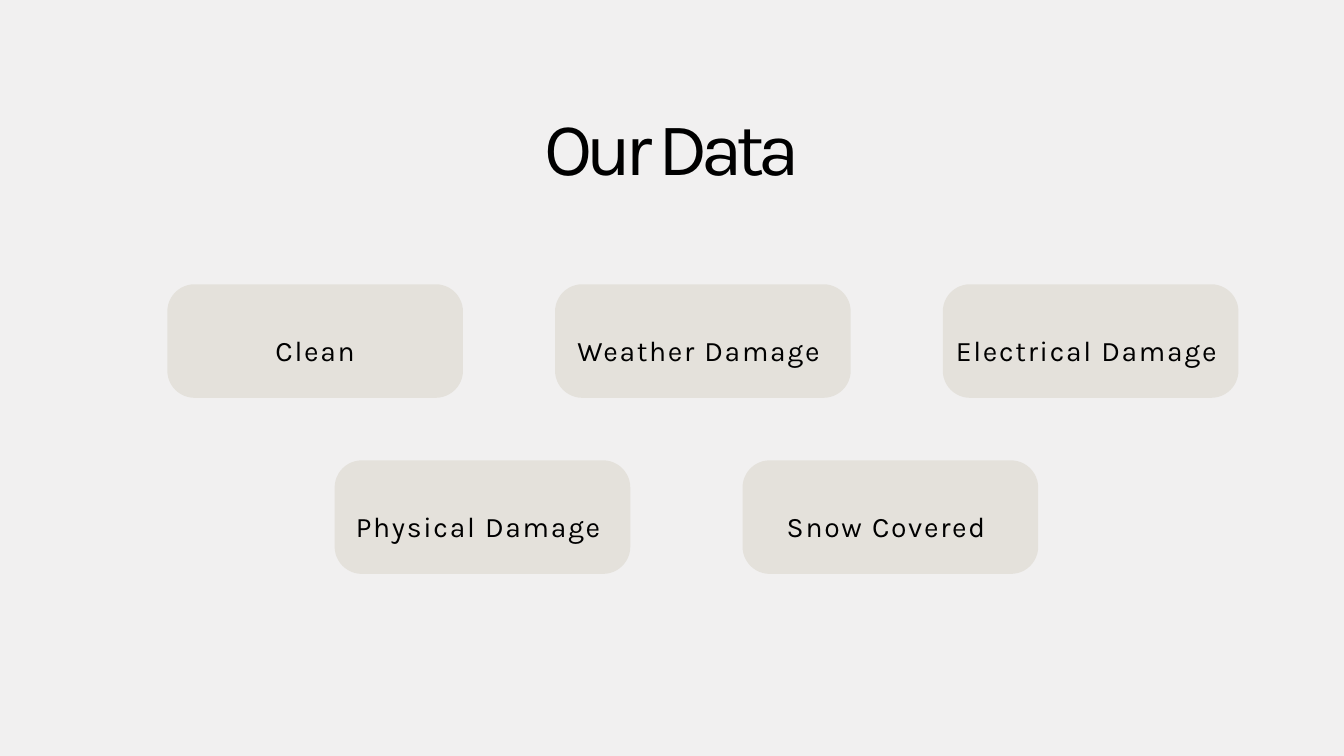
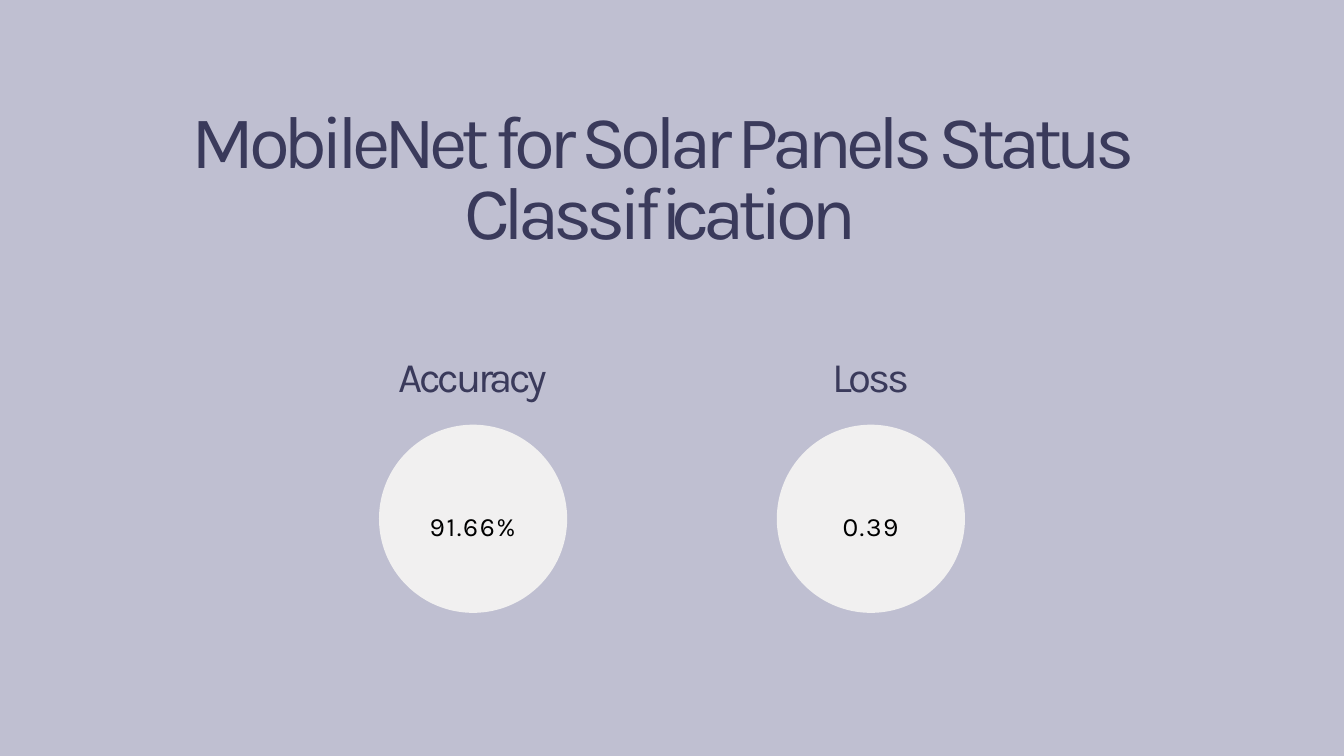
from pptx import Presentation
from pptx.dml.color import RGBColor
from pptx.enum.shapes import MSO_SHAPE
from pptx.enum.text import MSO_ANCHOR, MSO_AUTO_SIZE, PP_ALIGN
from pptx.util import Inches, Pt

PAPER = RGBColor(0xF1, 0xF0, 0xF0)
LILAC = RGBColor(0xBF, 0xBF, 0xD1)
SAND = RGBColor(0xE4, 0xE1, 0xDB)
INK = RGBColor(0x00, 0x00, 0x00)
NAVY = RGBColor(0x3A, 0x3A, 0x5B)
FONT = "Karla"


def write(shape, text, size, line, track, color=INK, pad=0, anchor=MSO_ANCHOR.TOP):
    frame = shape.text_frame
    frame.word_wrap = True
    frame.auto_size = MSO_AUTO_SIZE.NONE
    frame.vertical_anchor = anchor
    frame.margin_left = frame.margin_right = Inches(pad)
    frame.margin_top = frame.margin_bottom = Inches(pad)
    para = frame.paragraphs[0]
    para.alignment = PP_ALIGN.CENTER
    para.line_spacing = Pt(line)
    para.space_before = Pt(0)
    run = para.add_run()
    run.text = text
    font = run.font
    font.name, font.size, font.color.rgb = FONT, Pt(size), color
    run._r.get_or_add_rPr().set("spc", str(round(track * 100)))


class Deck:
    def __init__(self):
        self.prs = Presentation()
        self.prs.slide_width = Inches(20)
        self.prs.slide_height = Inches(11.25)
        self.slide = None

    def page(self, back):
        self.slide = self.prs.slides.add_slide(self.prs.slide_layouts[5])
        fill = self.slide.background.fill
        fill.solid()
        fill.fore_color.rgb = back

    def title(self, text, left, top, width, height, color):
        head = self.slide.shapes.title
        head.left, head.top = Inches(left), Inches(top)
        head.width, head.height = Inches(width), Inches(height)
        write(head, text, 80, 76.8, -6.6, color)

    def shape(self, kind, left, top, width, height, color):
        item = self.slide.shapes.add_shape(
            kind, Inches(left), Inches(top), Inches(width), Inches(height))
        item.shadow.inherit = False
        item.fill.solid()
        item.fill.fore_color.rgb = color
        item.line.fill.background()
        return item

    def text(self, text, left, top, width, height, **style):
        box = self.slide.shapes.add_textbox(
            Inches(left), Inches(top), Inches(width), Inches(height))
        write(box, text, **style)

    def card(self, label, left, top):
        card = self.shape(MSO_SHAPE.ROUNDED_RECTANGLE, left, top, 4.4, 1.69, SAND)
        card.adjustments[0] = 0.24
        self.text(label, left, top + 0.44, 4.4, 1.25, size=30.3, line=23.3,
                  track=1.8, pad=0.06, anchor=MSO_ANCHOR.MIDDLE)

    def score(self, label, value, left):
        self.shape(MSO_SHAPE.OVAL, left, 6.32, 2.8, 2.8, PAPER)
        self.text(value, left + 0.26, 6.95, 2.27, 1.91, size=28.3, line=21.8,
                  track=1.7, pad=0.06, anchor=MSO_ANCHOR.MIDDLE)
        self.text(label, left - 0.37, 5.36, 3.54, 0.64, size=45, line=43.2,
                  track=-3.7, color=NAVY)


def main():
    deck = Deck()

    deck.page(PAPER)
    deck.title("Our Data", 0.34, 1.76, 19.32, 1.14, INK)
    rows = [
        (2.49, 4.23, 5.77, ["Clean", "Weather Damage ", "Electrical Damage "]),
        (4.98, 6.85, 6.07, ["Physical Damage ", "Snow Covered "]),
    ]
    for left, top, step, labels in rows:
        for i, label in enumerate(labels):
            deck.card(label, left + i * step, top)

    deck.page(LILAC)
    deck.title("MobileNet for Solar Panels Status Classification",
               0, 1.66, 19.65, 2.2, NAVY)
    for i, (label, value) in enumerate([("Accuracy", "91.66%"), ("Loss", "0.39")]):
        deck.score(label, value, 5.64 + i * 5.92)

    deck.prs.save("out.pptx")


if __name__ == "__main__":
    main()
